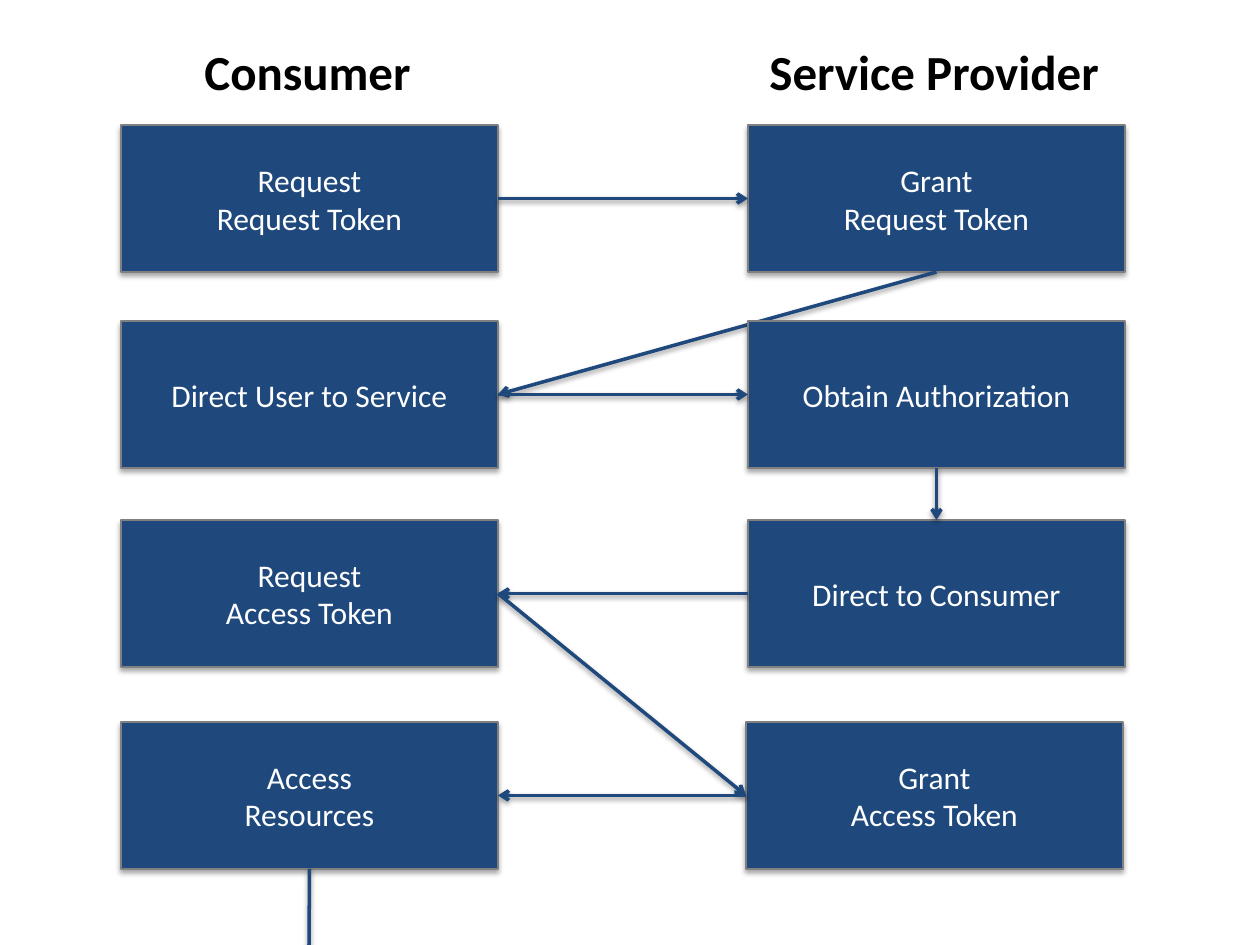
"""Build a slide of the token exchange between a consumer and a service provider."""
from lxml import etree
from pptx import Presentation
from pptx.dml.color import RGBColor
from pptx.enum.shapes import MSO_CONNECTOR, MSO_SHAPE
from pptx.enum.text import MSO_ANCHOR, MSO_AUTO_SIZE, PP_ALIGN
from pptx.oxml import parse_xml
from pptx.oxml.ns import nsdecls, qn
from pptx.util import Pt

PX = 914400 // 126
NAVY = "1F497D"
W, H = 377, 147
LEFT, RIGHT = 121, 748
ROWS = [125, 321, 520, 722]
TOP, WEST, BOTTOM, EAST = range(4)


def rgb(code):
    return RGBColor.from_string(code)


def add_shadow(shape, alpha, dist):
    shape._element.spPr.append(parse_xml(
        f'<a:effectLst {nsdecls("a")}><a:outerShdw blurRad="{Pt(3.1)}" dist="{Pt(dist)}" '
        f'dir="5400000" rotWithShape="0"><a:srgbClr val="000000"><a:alpha val="{alpha}000"/>'
        '</a:srgbClr></a:outerShdw></a:effectLst>'))


prs = Presentation()
prs.slide_width, prs.slide_height = 1260 * PX, 945 * PX
s = prs.slides.add_slide(prs.slide_layouts[6])

stages = [
    ([("request", LEFT, 0, "Request\nRequest Token"),
      ("grant", RIGHT, 0, "Grant\nRequest Token"),
      ("direct", LEFT, 1, "Direct User to Service")],
     [("request", EAST, "grant", WEST), ("grant", BOTTOM, "direct", EAST)]),
    ([("authorize", RIGHT, 1, "Obtain Authorization"),
      ("return", RIGHT, 2, "Direct to Consumer"),
      ("exchange", LEFT, 2, "Request\nAccess Token"),
      ("access grant", RIGHT - 2, 3, "Grant\nAccess Token"),
      ("access", LEFT, 3, "Access\nResources")],
     [("direct", EAST, "authorize", WEST),
      ("authorize", BOTTOM, "return", TOP),
      ("return", WEST, "exchange", EAST),
      ("exchange", EAST, "access grant", WEST),
      ("access grant", WEST, "access", EAST),
      ("access", BOTTOM, None, None)]),
]

boxes = {}
for steps, links in stages:
    for name, x, row, text in steps:
        sp = s.shapes.add_shape(MSO_SHAPE.RECTANGLE, x * PX, ROWS[row] * PX, W * PX, H * PX)
        sp.fill.solid()
        sp.fill.fore_color.rgb = rgb(NAVY)
        sp.line.color.rgb = rgb("808080")
        sp.line.width = Pt(0.75)
        add_shadow(sp, 35, 1.8)
        tf = sp.text_frame
        tf.text = text
        tf.word_wrap = True
        tf.vertical_anchor = MSO_ANCHOR.MIDDLE
        for p in tf.paragraphs:
            p.alignment = PP_ALIGN.CENTER
            p.font.name = "Calibri"
            p.font.size = Pt(18)
            p.font.color.rgb = rgb("FFFFFF")
        boxes[name] = sp
    for start, start_side, end, end_side in links:
        x = (LEFT + W // 2) * PX
        line = s.shapes.add_connector(MSO_CONNECTOR.STRAIGHT, x, 869 * PX, x, 958 * PX)
        line.begin_connect(boxes[start], start_side)
        if end:
            line.end_connect(boxes[end], end_side)
        line.line.color.rgb = rgb(NAVY)
        line.line.width = Pt(2)
        etree.SubElement(line.line._get_or_add_ln(), qn("a:tailEnd"), type="arrow")
        add_shadow(line, 38, 1.6)

for text, x, width in [("Consumer", 192, 234), ("Service Provider", 757, 359)]:
    tf = s.shapes.add_textbox(x * PX, 35 * PX, width * PX, 72 * PX).text_frame
    tf.word_wrap = False
    tf.auto_size = MSO_AUTO_SIZE.SHAPE_TO_FIT_TEXT
    p = tf.paragraphs[0]
    p.text = text
    p.font.name = "Calibri"
    p.font.size = Pt(28)
    p.font.bold = True
    p.font.color.rgb = rgb("000000")

prs.save("out.pptx")
